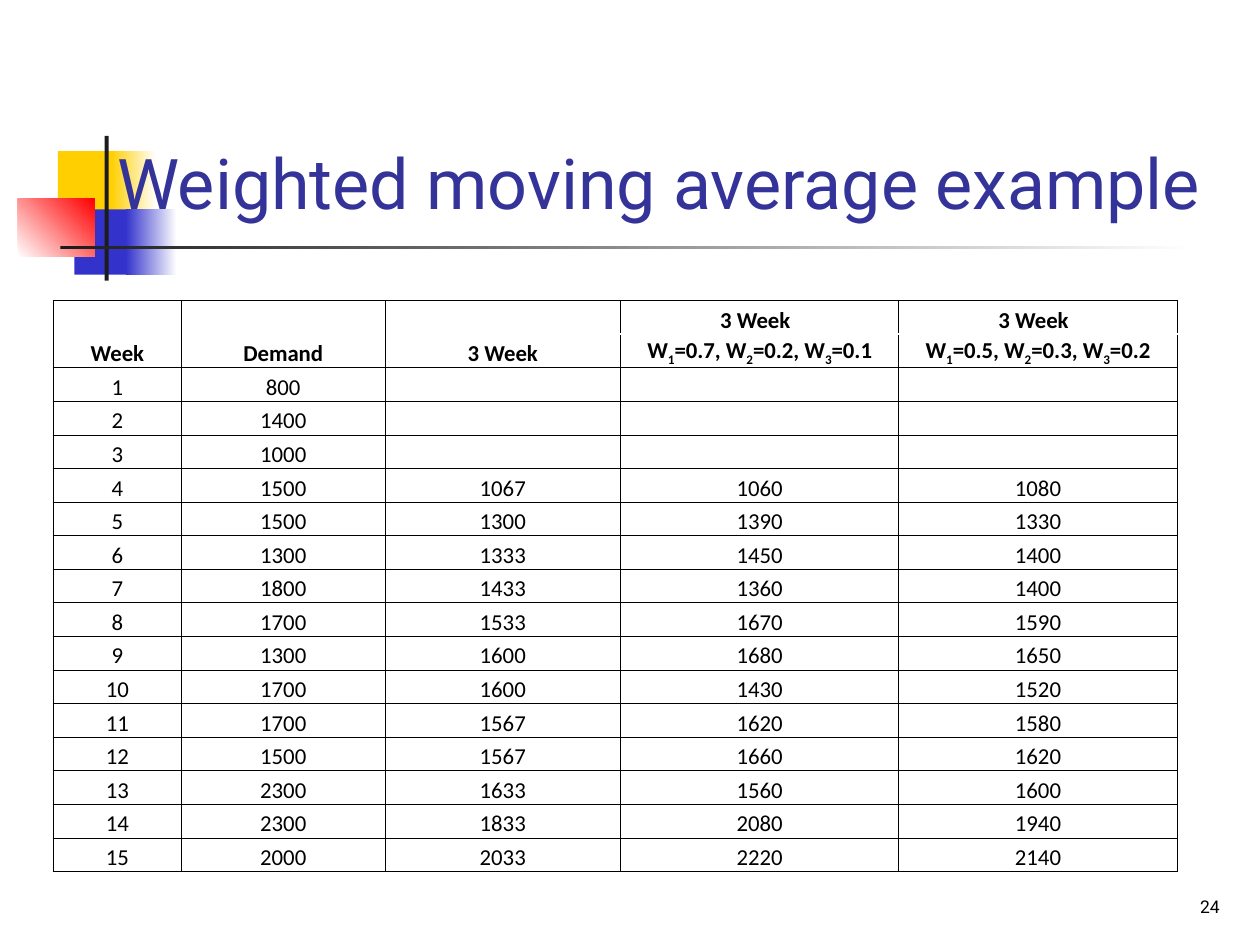
from lxml import etree
from pptx import Presentation
from pptx import util as u
from pptx.dml import color
from pptx.enum import shapes, text
from pptx.oxml import ns

DEMAND = [800, 1400, 1000, 1500, 1500, 1300, 1800, 1700,
          1300, 1700, 1700, 1500, 2300, 2300, 2000]
WEIGHTS = [(1 / 3, 1 / 3, 1 / 3), (0.7, 0.2, 0.1), (0.5, 0.3, 0.2)]
COLUMN_WIDTHS = [2.59, 4.1, 4.75, 5.61, 5.61]
HEADINGS = ["Week", "Demand", "3 Week", "3 Week", "3 Week"]
HEADER_ROWS = 2
TABLE_HEIGHT = 11.51
ORNAMENT = [
    (1.17, 3.05, 1.22, 1.32, ["FFCF01"], 0),
    (2.24, 3.05, 0.91, 1.32, ["FFCF01", "FFFFFF"], 0),
    (1.5, 4.22, 1.17, 1.32, ["3333CC"], 0),
    (2.54, 4.22, 1.02, 1.32, ["3333CC", "FFFFFF"], 0),
    (0.36, 4.01, 1.55, 1.17, ["FFFFFF", "FF0000"], 45),
    (2.11, 2.74, 0.08, 2.92, ["1C1C1C"], 0),
    (1.22, 4.95, 22.86, 0.08, ["1C1C1C", "FFFFFF"], 0),
]


def rgb(value):
    """Turn a hex string into a colour."""
    return color.RGBColor.from_string(value)


def style_span(span, size, face, hue="000000", bold=False):
    """Set the font of one run."""
    span.font.size = u.Pt(size)
    span.font.name = face
    span.font.bold = bold
    span.font.color.rgb = rgb(hue)


def add_block(page, left, top, width, height, hues, angle):
    """Add a borderless rectangle with a plain or two-colour fill."""
    block = page.shapes.add_shape(shapes.MSO_SHAPE.RECTANGLE, u.Cm(left),
                                  u.Cm(top), u.Cm(width), u.Cm(height))
    block.shadow.inherit = False
    block.line.fill.background()
    if len(hues) == 1:
        block.fill.solid()
        block.fill.fore_color.rgb = rgb(hues[0])
        return
    block.fill.gradient()
    block.fill.gradient_angle = angle
    for stop, hue in zip(block.fill.gradient_stops, hues):
        stop.color.rgb = rgb(hue)


def add_text(page, left, top, width, height, words, size, hue, align):
    """Add a text box whose text sits at the bottom."""
    box = page.shapes.add_textbox(u.Cm(left), u.Cm(top), u.Cm(width), u.Cm(height))
    frame = box.text_frame
    frame.word_wrap = True
    frame.vertical_anchor = text.MSO_ANCHOR.BOTTOM
    frame.text = words
    para = frame.paragraphs[0]
    para.alignment = align
    style_span(para.runs[0], size, "Roboto", hue)


def draw_borders(cell, edges):
    """Draw thin black lines on the given edges of a cell."""
    properties = cell._tc.get_or_add_tcPr()
    for edge in edges:
        line = etree.SubElement(properties, ns.qn("a:ln" + edge), w=str(u.Pt(0.5)))
        fill = etree.SubElement(line, ns.qn("a:solidFill"))
        etree.SubElement(fill, ns.qn("a:srgbClr"), val="000000")


def fill_cell(cell, pieces, bold, edges):
    """Write pieces of text in a cell, setting every second one as subscript."""
    draw_borders(cell, edges)
    cell.fill.background()
    cell.vertical_anchor = text.MSO_ANCHOR.BOTTOM
    cell.margin_left = cell.margin_right = cell.margin_top = u.Cm(0.02)
    cell.margin_bottom = 0
    para = cell.text_frame.paragraphs[0]
    para.alignment = text.PP_ALIGN.CENTER
    for index, piece in enumerate(pieces):
        span = para.add_run()
        span.text = piece
        style_span(span, 13, "Calibri", bold=bold)
        if index % 2:
            span.font._element.set("baseline", "-25000")
    if not pieces:
        etree.SubElement(para._p, ns.qn("a:endParaRPr"), sz="1300")


def weight_pieces(weights):
    """Split a list of weights into plain and subscript pieces."""
    first, second, third = weights
    return ["W", "1", f"={first}, W", "2", f"={second}, W", "3", f"={third}"]


def forecast(week, weights):
    """Give the weighted average of the three weeks before, latest first."""
    if week <= 3:
        return []
    latest_first = DEMAND[week - 4:week - 1][::-1]
    return [f"{sum(w * d for w, d in zip(weights, latest_first)):.0f}"]


def table_rows():
    """List the pieces of text of every cell."""
    rows = [[[heading] for heading in HEADINGS],
            [[], [], []] + [weight_pieces(weights) for weights in WEIGHTS[1:]]]
    for week, demand in enumerate(DEMAND, 1):
        rows.append([[str(week)], [str(demand)]]
                    + [forecast(week, weights) for weights in WEIGHTS])
    return rows


def add_forecast_table(page):
    """Add the table of demand and forecasts."""
    rows = table_rows()
    table = page.shapes.add_table(len(rows), len(COLUMN_WIDTHS), u.Cm(1.07), u.Cm(6.06),
                                  u.Cm(sum(COLUMN_WIDTHS)), u.Cm(TABLE_HEIGHT)).table
    table.first_row = table.horz_banding = False
    for column, width in zip(table.columns, COLUMN_WIDTHS):
        column.width = u.Cm(width)
    for row in table.rows:
        row.height = u.Cm(TABLE_HEIGHT / len(rows))
    for r, row in enumerate(rows):
        edges = ["LRT", "LRB"][r] if r < HEADER_ROWS else "LRTB"
        for c, pieces in enumerate(row):
            merged = r == 0 and c < 3
            fill_cell(table.cell(r, c), pieces, r < HEADER_ROWS,
                      "LRTB" if merged else edges)
    for c in range(3):
        table.cell(0, c).merge(table.cell(1, c))
    for c in (3, 4):
        table.cell(0, c).margin_right = u.Cm(0.2)


def main():
    """Build the slide and save it."""
    deck = Presentation()
    deck.slide_width, deck.slide_height = u.Cm(25.4), u.Cm(19.05)
    page = deck.slides.add_slide(deck.slide_layouts[6])
    for block in ORNAMENT:
        add_block(page, *block)
    add_text(page, 2.11, 0.58, 22.73, 4.06, "Weighted moving average example",
             40, "333399", text.PP_ALIGN.LEFT)
    add_text(page, 19.56, 17.35, 5.28, 1.27, "24", 10, "000000", text.PP_ALIGN.RIGHT)
    add_forecast_table(page)
    deck.save("out.pptx")


if __name__ == "__main__":
    main()
